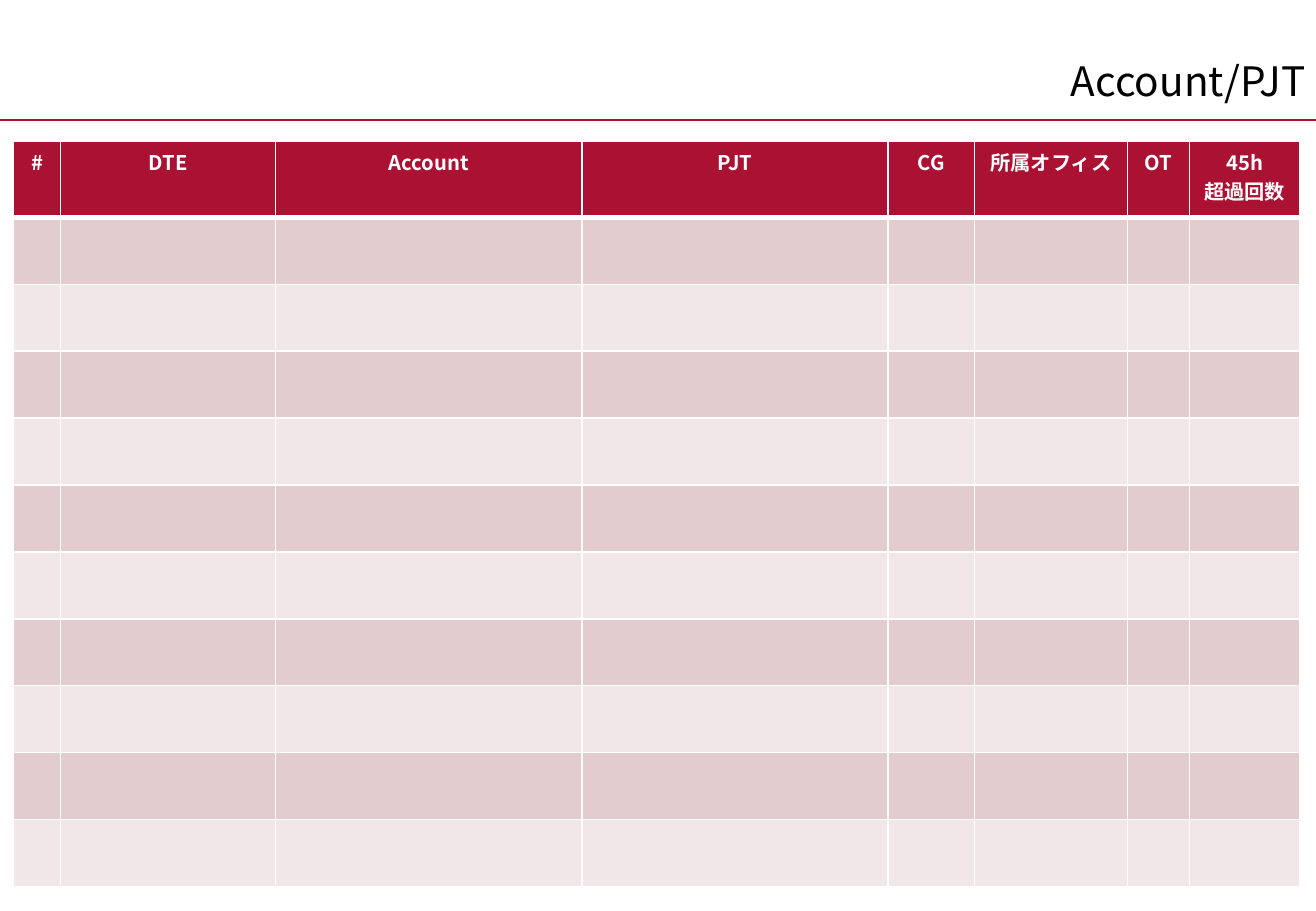
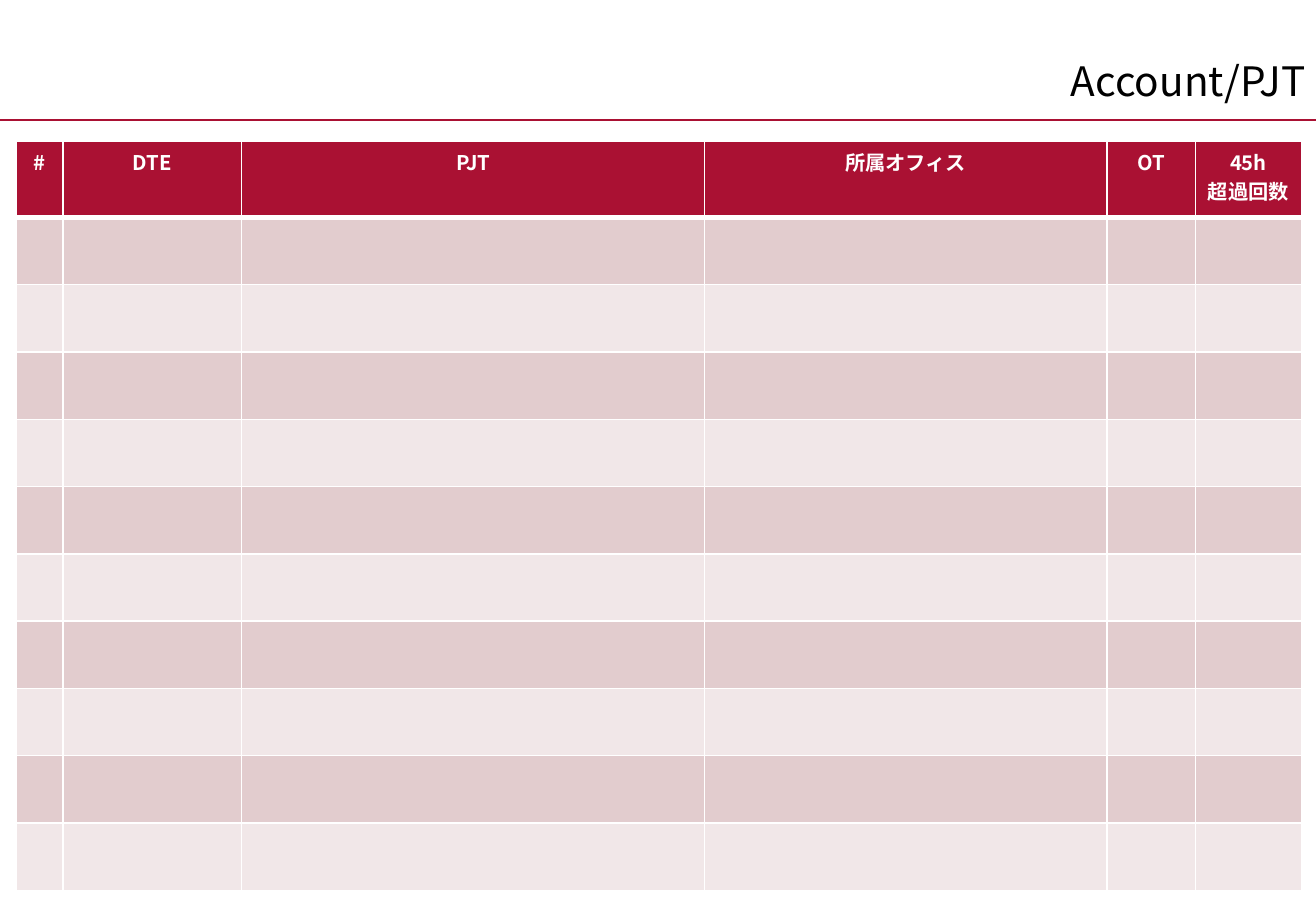
from dataclasses import dataclass

from lxml.etree import SubElement
from pptx import Presentation
from pptx.dml.color import RGBColor
from pptx.enum.shapes import MSO_CONNECTOR
from pptx.enum.text import MSO_ANCHOR, PP_ALIGN
from pptx.oxml.ns import qn
from pptx.util import Inches, Pt


@dataclass(frozen=True)
class Theme:
    font: str = "Noto Sans CJK JP"
    accent: str = "AA1133"
    title_color: str = "000000"
    header_text: str = "FFFFFF"
    border: str = "FFFFFF"
    bands: tuple = ("E2CCCE", "F1E7E8")
    title_size: int = 24
    header_size: int = 12
    rule_width: int = 1
    border_width: int = 1
    header_border_width: int = 3


THEME = Theme()
SLIDE_WIDTH, SLIDE_HEIGHT = 10.83, 7.5
TITLE_BOX = (3.05, 0.28, 7.79, 0.63)
RULE_TOP = 0.99
HEADER_HEIGHT = 0.63
BODY_ROWS = 10

TABLES = [
    (
        (0.11, 1.16, 10.61, 6.14),
        [
            ("#", 0.39),
            ("DTE", 1.77),
            ("Account", 2.52),
            ("PJT", 2.52),
            ("CG", 0.71),
            ("所属オフィス", 1.26),
            ("OT", 0.51),
            ("45h\n超過回数", 0.91),
        ],
    ),
    (
        (0.13, 1.16, 10.58, 6.17),
        [
            ("#", 0.39),
            ("DTE", 1.47),
            ("PJT", 3.81),
            ("所属オフィス", 3.31),
            ("OT", 0.73),
            ("45h\n超過回数", 0.87),
        ],
    ),
]


def format_text(text_frame, alignment, size, color, bold=False):
    for paragraph in text_frame.paragraphs:
        paragraph.alignment = alignment
        for run in paragraph.runs:
            run.font.name = THEME.font
            run.font.size = Pt(size)
            run.font.bold = bold
            run.font.color.rgb = RGBColor.from_string(color)
            east_asian = SubElement(run.font._element, qn("a:ea"))
            east_asian.set("typeface", THEME.font)


def add_title(slide, text, box):
    shape = slide.shapes.add_textbox(*map(Inches, box))
    text_frame = shape.text_frame
    text_frame.word_wrap = True
    text_frame.vertical_anchor = MSO_ANCHOR.BOTTOM
    text_frame.text = text
    format_text(text_frame, PP_ALIGN.RIGHT, THEME.title_size, THEME.title_color)


def add_rule(slide, top):
    rule = slide.shapes.add_connector(
        MSO_CONNECTOR.STRAIGHT, 0, Inches(top), Inches(SLIDE_WIDTH), Inches(top)
    )
    rule.line.color.rgb = RGBColor.from_string(THEME.accent)
    rule.line.width = Pt(THEME.rule_width)
    SubElement(rule._element.spPr, qn("a:effectLst"))


def style_cell(cell, fill, top_width, bottom_width):
    properties = cell._tc.get_or_add_tcPr()
    side = THEME.border_width
    for tag, width in (("lnL", side), ("lnR", side), ("lnT", top_width), ("lnB", bottom_width)):
        line = SubElement(properties, qn(f"a:{tag}"), w=str(Pt(width)))
        solid = SubElement(line, qn("a:solidFill"))
        SubElement(solid, qn("a:srgbClr"), val=THEME.border)
    cell.fill.solid()
    cell.fill.fore_color.rgb = RGBColor.from_string(fill)


def add_account_table(slide, box, columns):
    left, top, width, height = map(Inches, box)
    table = slide.shapes.add_table(
        BODY_ROWS + 1, len(columns), left, top, width, height
    ).table
    header_height = Inches(HEADER_HEIGHT)
    table.rows[0].height = header_height
    for row in list(table.rows)[1:]:
        row.height = (height - header_height) // BODY_ROWS

    thin, thick = THEME.border_width, THEME.header_border_width
    for column_index, (heading, column_width) in enumerate(columns):
        table.columns[column_index].width = Inches(column_width)
        header = table.cell(0, column_index)
        header.margin_left = header.margin_right = Inches(0.08)
        header.text_frame.text = heading
        format_text(
            header.text_frame, PP_ALIGN.CENTER, THEME.header_size, THEME.header_text, True
        )
        style_cell(header, THEME.accent, thin, thick)
        for row_index in range(1, BODY_ROWS + 1):
            band = THEME.bands[(row_index - 1) % len(THEME.bands)]
            top_width = thick if row_index == 1 else thin
            style_cell(table.cell(row_index, column_index), band, top_width, thin)


def add_account_slide(presentation, box, columns):
    slide = presentation.slides.add_slide(presentation.slide_layouts[6])
    add_rule(slide, RULE_TOP)
    add_title(slide, "Account/PJT", TITLE_BOX)
    add_account_table(slide, box, columns)


def main():
    presentation = Presentation()
    presentation.slide_width = Inches(SLIDE_WIDTH)
    presentation.slide_height = Inches(SLIDE_HEIGHT)
    for box, columns in TABLES:
        add_account_slide(presentation, box, columns)
    presentation.save("out.pptx")


if __name__ == "__main__":
    main()
